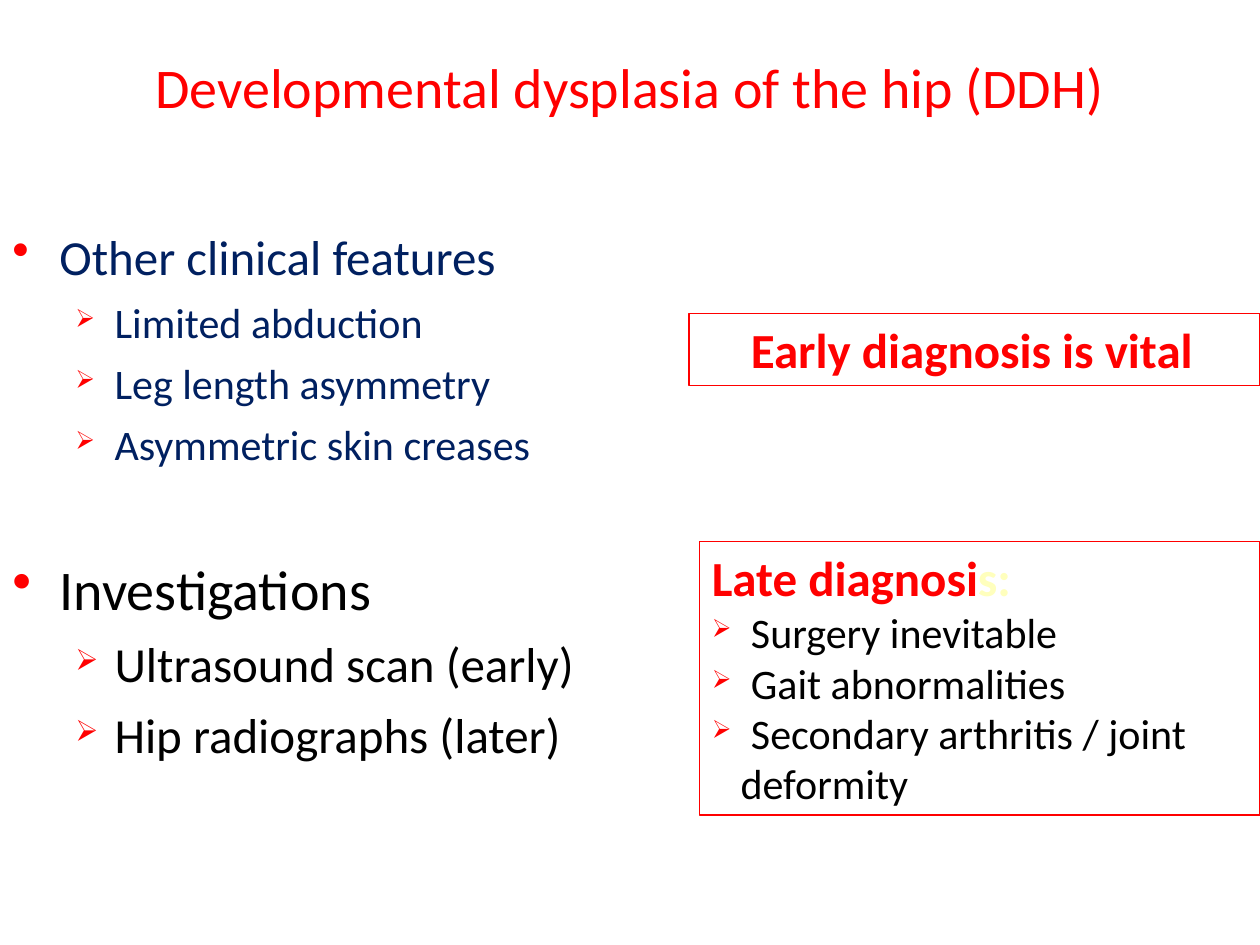
"""Build a slide on the diagnosis of developmental dysplasia of the hip."""

from dataclasses import dataclass

from lxml import etree
from pptx import Presentation
from pptx.dml.color import RGBColor
from pptx.enum.shapes import MSO_SHAPE
from pptx.enum.text import MSO_ANCHOR, PP_ALIGN
from pptx.oxml.ns import qn
from pptx.util import Cm, Pt

RECTANGLE = MSO_SHAPE.RECTANGLE
TOP, MIDDLE = MSO_ANCHOR.TOP, MSO_ANCHOR.MIDDLE
LEFT, CENTER = PP_ALIGN.LEFT, PP_ALIGN.CENTER


@dataclass(frozen=True)
class Theme:
    """Colours, font and type sizes of the slide."""

    font: str = "Calibri"
    red: str = "FF0000"
    navy: str = "002060"
    black: str = "000000"
    cream: str = "FFFFBD"
    large: int = 32
    medium: int = 28
    small: int = 24
    tiny: int = 14
    border: float = 0.75


THEME = Theme()


@dataclass(frozen=True)
class Bullet:
    """A bullet sign with its size in percent."""

    sign: str
    percent: int = 100


@dataclass(frozen=True)
class Box:
    """Place of a box in centimetres."""

    left: float
    top: float
    width: float
    height: float


@dataclass(frozen=True)
class Line:
    """One paragraph; indents are in centimetres and space in points."""

    text: str
    size: int
    color: str
    bold: bool = False
    align: PP_ALIGN = LEFT
    bullet: Bullet | None = None
    margin: float = 0
    hanging: float = 0
    before: float = 0
    level: int = 0


DOT = Bullet("•")
ARROW = Bullet("➢", 60)


def topic(text: str, size: int, color: str, before: float = 0) -> Line:
    """Describe a first-level heading in the list."""
    return Line(text, size, color, bullet=DOT, margin=0.95, hanging=0.95, before=before)


def detail(text: str, size: int, color: str, before: float) -> Line:
    """Describe a second-level item in the list."""
    return Line(text, size, color, bullet=ARROW, margin=2.06, hanging=0.79, before=before, level=1)


def consequence(text: str) -> Line:
    """Describe a consequence of late diagnosis."""
    return Line(text, THEME.small, THEME.black, bullet=ARROW, margin=0.79, hanging=0.79)


TITLE = [Line("Developmental dysplasia of the hip (DDH)", THEME.large, THEME.red, align=CENTER)]
FEATURES = ["Limited abduction", "Leg length asymmetry", "Asymmetric skin creases"]
INVESTIGATIONS = ["Ultrasound scan (early)", "Hip radiographs (later)"]
CONSEQUENCES = ["Surgery inevitable", "Gait abnormalities", "Secondary arthritis / joint"]
BODY = [
    topic("Other clinical features", THEME.medium, THEME.navy),
    *(detail(text, THEME.small, THEME.navy, 6) for text in FEATURES),
    topic("Investigations", THEME.large, THEME.black, 49),
    *(detail(text, THEME.medium, THEME.black, 7) for text in INVESTIGATIONS),
]
EARLY = [Line("Early diagnosis is vital", THEME.medium, THEME.red, bold=True, align=CENTER)]
LATE = [
    Line("Late diagnosi", THEME.medium, THEME.red, bold=True),
    *(consequence(text) for text in CONSEQUENCES),
    Line("deformity", THEME.small, THEME.black, margin=0.58),
]


def add_bullet(properties, bullet: Bullet) -> None:
    """Add a red bullet to paragraph properties."""
    color = etree.SubElement(properties, qn("a:buClr"))
    etree.SubElement(color, qn("a:srgbClr"), val=THEME.red)
    etree.SubElement(properties, qn("a:buSzPct"), val=str(bullet.percent * 1000))
    etree.SubElement(properties, qn("a:buChar"), char=bullet.sign)


def write_lines(shape, lines: list[Line], anchor: MSO_ANCHOR = TOP) -> None:
    """Fill a shape with paragraphs."""
    frame = shape.text_frame
    frame.word_wrap = True
    frame.vertical_anchor = anchor
    for index, line in enumerate(lines):
        paragraph = frame.add_paragraph() if index else frame.paragraphs[0]
        paragraph.add_run().text = line.text
        paragraph.alignment = line.align
        paragraph.level = line.level
        properties = paragraph._p.get_or_add_pPr()
        properties.set("marL", str(Cm(line.margin)))
        properties.set("indent", str(Cm(-line.hanging)))
        if line.before:
            paragraph.space_before = Pt(line.before)
        if line.bullet:
            add_bullet(properties, line.bullet)
        font = paragraph.font
        font.name = THEME.font
        font.size = Pt(line.size)
        font.bold = line.bold
        font.color.rgb = RGBColor.from_string(line.color)


def place(box: Box) -> tuple[Cm, Cm, Cm, Cm]:
    """Turn a box into lengths."""
    return Cm(box.left), Cm(box.top), Cm(box.width), Cm(box.height)


def add_text(slide, box: Box, lines: list[Line], anchor: MSO_ANCHOR = TOP) -> None:
    """Add a plain text box."""
    write_lines(slide.shapes.add_textbox(*place(box)), lines, anchor)


def add_callout(slide, box: Box, lines: list[Line]):
    """Add a red-bordered rectangle with text and return it."""
    shape = slide.shapes.add_shape(RECTANGLE, *place(box))
    shape.shadow.inherit = False
    shape.fill.background()
    shape.line.color.rgb = RGBColor.from_string(THEME.red)
    shape.line.width = Pt(THEME.border)
    write_lines(shape, lines)
    return shape


def main() -> None:
    """Build and save the presentation."""
    presentation = Presentation()
    presentation.slide_width, presentation.slide_height = Cm(25.4), Cm(19.05)
    slide = presentation.slides.add_slide(presentation.slide_layouts[6])
    add_text(slide, Box(1.27, 0.76, 22.86, 1.96), TITLE, MIDDLE)
    add_text(slide, Box(0, 4.45, 25.4, 15.49), BODY)
    early = add_callout(slide, Box(13.89, 6.32, 11.51, 1.45), EARLY)
    space = early.text_frame.paragraphs[0].add_run()
    space.text = " "
    space.font.size = Pt(THEME.tiny)
    space.font.bold = False
    late = add_callout(slide, Box(14.1, 10.92, 11.3, 5.51), LATE)
    ending = late.text_frame.paragraphs[0].add_run()
    ending.text = "s:"
    ending.font.color.rgb = RGBColor.from_string(THEME.cream)
    presentation.save("out.pptx")


if __name__ == "__main__":
    main()
